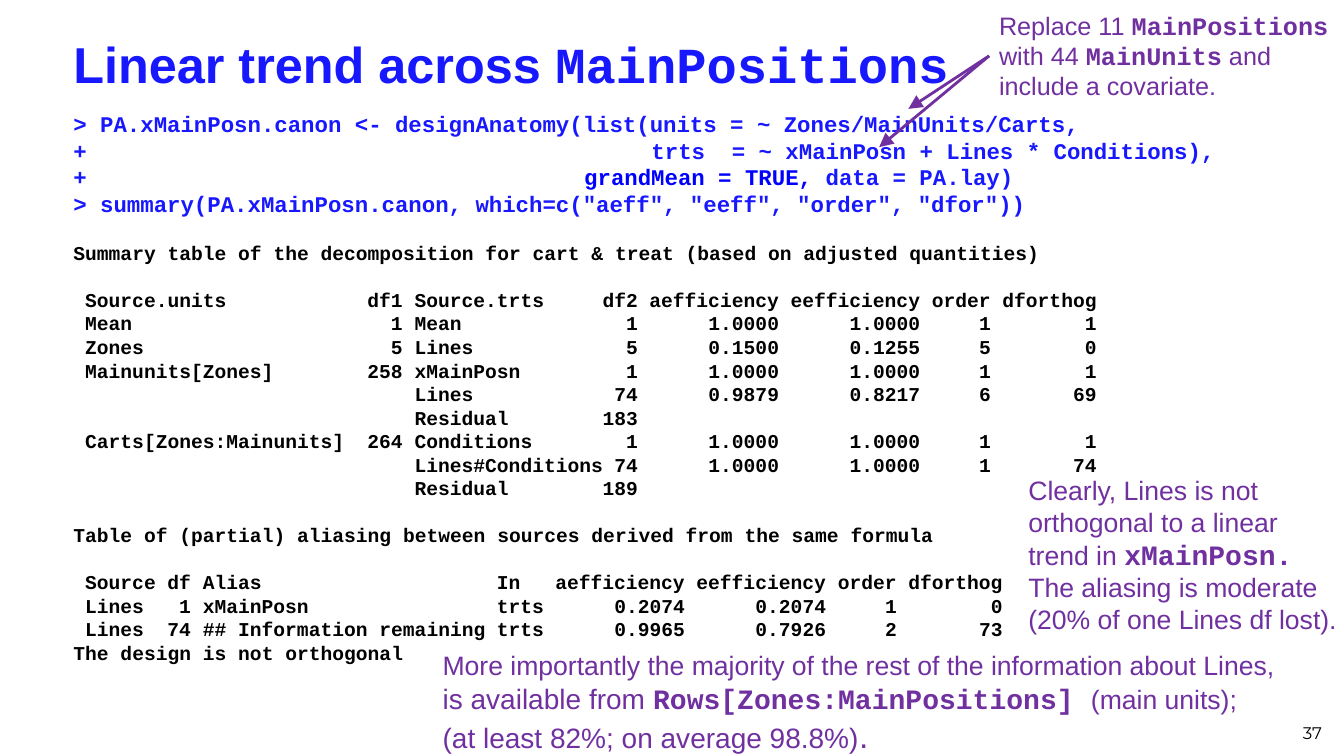
from lxml import etree
from pptx import Presentation
from pptx.dml.color import RGBColor
from pptx.enum.shapes import MSO_CONNECTOR
from pptx.enum.text import MSO_ANCHOR, PP_ALIGN
from pptx.oxml.ns import qn
from pptx.util import Inches, Pt

BLUE = RGBColor(0x18, 0x18, 0xFF)
PURE_BLUE = RGBColor(0x00, 0x00, 0xFF)
PURPLE = RGBColor(0x70, 0x30, 0xA0)
BLACK = RGBColor(0x00, 0x00, 0x00)
SANS, MONO, NUMBER = "Arial", "Courier New", "Montserrat"
STRAIGHT = MSO_CONNECTOR.STRAIGHT
TOP, MIDDLE, BOTTOM = MSO_ANCHOR.TOP, MSO_ANCHOR.MIDDLE, MSO_ANCHOR.BOTTOM
RIGHT = PP_ALIGN.RIGHT

CODE_SIZE, OUTPUT_SIZE = 16, 14
MONO_ADVANCE = 0.6   # character width as a share of the font size
BLOCK_GAP = Pt(16.8)

# Tab stops as (character column, alignment)
ANATOMY_STOPS = [(1, "l"), (28, "r"), (29, "l"), (48, "r"),
                 (60, "r"), (72, "r"), (78, "r"), (87, "r")]
ANATOMY_ROWS = [
    ("Source.units", "df1", "Source.trts", "df2",
     "aefficiency", "eefficiency", "order", "dforthog"),
    ("Mean", "1", "Mean", "1", "1.0000", "1.0000", "1", "1"),
    ("Zones", "5", "Lines", "5", "0.1500", "0.1255", "5", "0"),
    ("Mainunits[Zones]", "258", "xMainPosn", "1", "1.0000", "1.0000", "1", "1"),
    ("", "", "Lines", "74", "0.9879", "0.8217", "6", "69"),
    ("", "", "Residual", "183"),
    ("Carts[Zones:Mainunits]", "264", "Conditions", "1",
     "1.0000", "1.0000", "1", "1"),
    ("", "", "Lines#Conditions", "74", "1.0000", "1.0000", "1", "74"),
    ("", "", "Residual", "189"),
]
ALIAS_STOPS = [(1, "l"), (10, "r"), (11, "l"), (36, "l"),
               (52, "r"), (64, "r"), (70, "r"), (79, "r")]
ALIAS_ROWS = [
    ("Source", "df", "Alias", "In",
     "aefficiency", "eefficiency", "order", "dforthog"),
    ("Lines", "1", "xMainPosn", "trts", "0.2074", "0.2074", "1", "0"),
    ("Lines", "74", "## Information remaining", "trts",
     "0.9965", "0.7926", "2", "73"),
]


def add_box(page, box, anchor=TOP, margins=(0.1, 0.05)):
    """Add a wrapping text box at (left, top, width, height) in inches."""
    shape = page.shapes.add_textbox(*map(Inches, box))
    frame = shape.text_frame
    frame.word_wrap = True
    frame.vertical_anchor = anchor
    frame.margin_left = frame.margin_right = Inches(margins[0])
    frame.margin_top = frame.margin_bottom = Inches(margins[1])
    return shape


def add_span(para, text, size, color, font=SANS, bold=None):
    span = para.add_run()
    span.text = text
    span.font.name = font
    span.font.size = Pt(size)
    span.font.bold = font == MONO if bold is None else bold
    span.font.color.rgb = color


def set_tabs(para, stops, size):
    tabs = etree.SubElement(para._p.get_or_add_pPr(), qn("a:tabLst"))
    for column, alignment in stops:
        position = Pt(column * MONO_ADVANCE * size)
        etree.SubElement(tabs, qn("a:tab"), pos=str(position), algn=alignment)


def add_title(page, box):
    para = add_box(page, box, MIDDLE).text_frame.paragraphs[0]
    add_span(para, "Linear trend across ", 36, BLUE, bold=True)
    add_span(para, "MainPositions", 36, BLUE, MONO)


def add_console(page, box):
    """Place the commands and the output they print."""
    frame = add_box(page, box).text_frame

    def add_line(spans, size, stops=(), gap=0):
        para = frame.paragraphs[0]
        if para.runs:
            para = frame.add_paragraph()
        para.space_before = gap
        if stops:
            set_tabs(para, stops, size)
        for text, color in spans:
            add_span(para, text, size, color, MONO)

    def add_output(text, stops=(), gap=0):
        add_line([(text, BLACK)], OUTPUT_SIZE, stops, gap)

    def add_table_lines(rows, stops):
        for index, row in enumerate(rows):
            add_output("\t" + "\t".join(row), stops, 0 if index else BLOCK_GAP)

    # Commands
    add_line([("> PA.xMainPosn.canon <- designAnatomy(list("
               "units = ~ Zones/MainUnits/Carts,", BLUE)], CODE_SIZE)
    add_line([("+\ttrts  = ~ xMainPosn + Lines * Conditions),", BLUE)],
             CODE_SIZE, [(43, "l")])
    add_line([("+\t", BLUE), ("grandMean = TRUE, ", PURE_BLUE),
              ("data = PA.lay)", BLUE)], CODE_SIZE, [(38, "l")])
    add_line([('> summary(PA.xMainPosn.canon, '
               'which=c("aeff", "eeff", "order", "dfor"))', BLUE)], CODE_SIZE)

    # Printed tables
    add_output("Summary table of the decomposition for cart & treat "
               "(based on adjusted quantities)", gap=BLOCK_GAP)
    add_table_lines(ANATOMY_ROWS, ANATOMY_STOPS)
    add_output("Table of (partial) aliasing between sources "
               "derived from the same formula", gap=BLOCK_GAP)
    add_table_lines(ALIAS_ROWS, ALIAS_STOPS)
    add_output("The design is not orthogonal")


def add_note(page, box, lines, margins=(0.13, 0.07)):
    """Place a purple note; each line is a list of (text, size, font)."""
    note = add_box(page, box, margins=margins)
    para = note.text_frame.paragraphs[0]
    for index, spans in enumerate(lines):
        if index:
            para.add_line_break()
        for text, size, font in spans:
            add_span(para, text, size, PURPLE, font)
    return note


def add_arrow(page, note, start, end):
    """Draw an arrow from the left side of a note."""
    arrow = page.shapes.add_connector(STRAIGHT, *map(Inches, start + end))
    arrow.begin_connect(note, 1)
    arrow.line.color.rgb = PURPLE
    arrow.line.width = Pt(2)
    etree.SubElement(arrow.line._get_or_add_ln(), qn("a:tailEnd"),
                     type="triangle", w="lg", len="lg")
    etree.SubElement(arrow._element.spPr, qn("a:effectLst"))


def add_page_number(page, box):
    para = add_box(page, box, BOTTOM).text_frame.paragraphs[0]
    para.alignment = RIGHT
    add_span(para, "37", 12, BLACK, NUMBER)


def build_trend_slide(deck):
    page = deck.slides.add_slide(deck.slide_layouts[6])
    add_title(page, (0.63, 0.23, 12.6, 0.79))
    add_console(page, (0.63, 1.04, 12.6, 6.46))
    add_page_number(page, (10.1, 6.92, 3.11, 0.5))

    # Notes on the results
    add_note(page, (4.26, 6.37, 8.72, 1.1), [
        [("More importantly the majority of the rest of the information "
          "about Lines, ", 19, SANS),
         ("is available from ", 20, SANS),
         ("Rows[Zones:MainPositions] ", 20, MONO),
         ("(main units);", 19, SANS)],
        [("(at least 82%; on average 98.8%)", 20, SANS), (".", 24, SANS)],
    ])
    add_note(page, (10.07, 4.63, 3.36, 1.7), [
        [("Clearly, Lines is not orthogonal to a linear trend in ", 19, SANS),
         ("xMainPosn.", 20, MONO),
         (" The aliasing is moderate (20% of one Lines df lost).", 19, SANS)],
    ])

    # Note on the change of units, with its arrows
    change = add_note(page, (9.81, 0.05, 3.48, 1.01), [
        [("Replace 11 ", 18, SANS), ("MainPositions ", 18, MONO),
         ("with 44 ", 18, SANS), ("MainUnits", 18, MONO),
         (" and include a covariate.", 18, SANS)],
    ], margins=(0.1, 0.05))
    for target in ((9.01, 1.08), (8.72, 1.46)):
        add_arrow(page, change, (9.81, 0.55), target)


def main():
    deck = Presentation()
    deck.slide_width, deck.slide_height = Inches(13.33), Inches(7.5)
    build_trend_slide(deck)
    deck.save("out.pptx")


if __name__ == "__main__":
    main()
